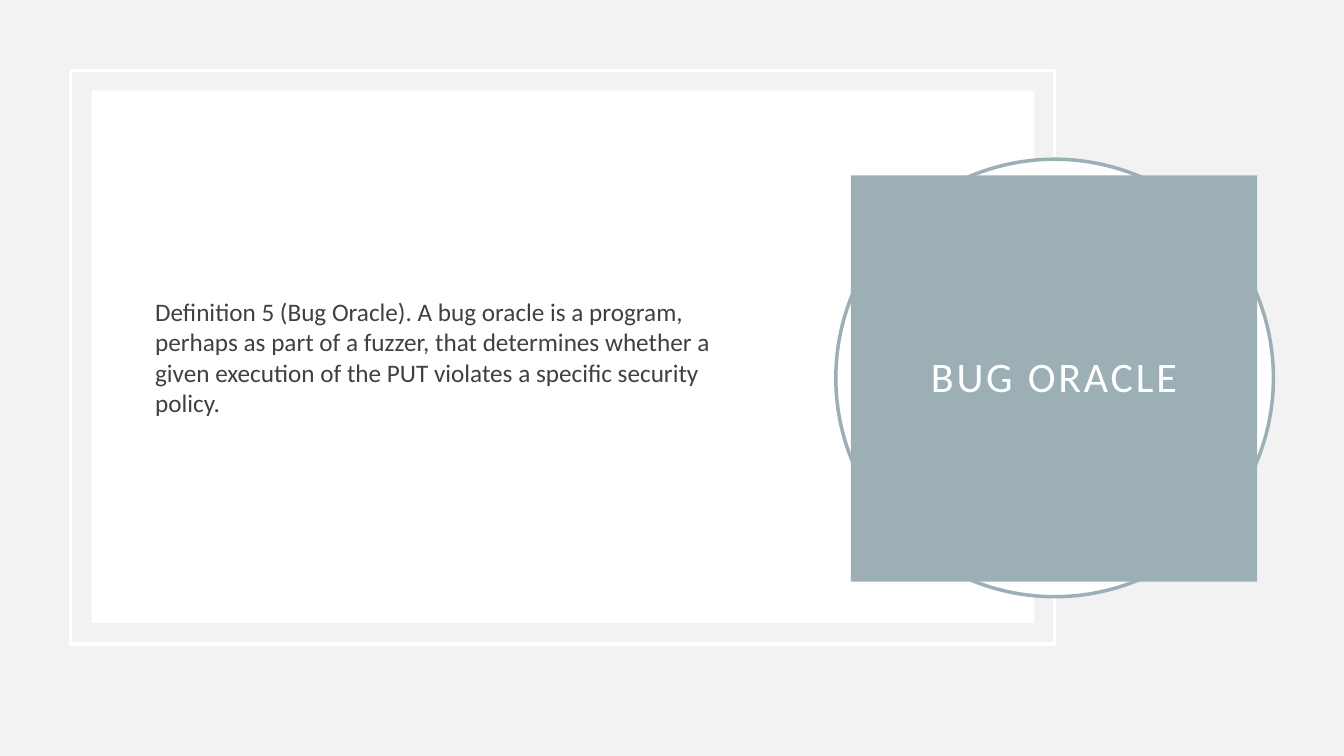
"""Build the Bug Oracle definition slide."""
from dataclasses import dataclass
from typing import Optional

from pptx import Presentation
from pptx.dml.color import RGBColor
from pptx.enum.shapes import MSO_SHAPE as SHAPE
from pptx.enum.text import MSO_ANCHOR as ANCHOR, PP_ALIGN as ALIGN
from pptx.util import Inches, Pt

WHITE, TEAL, GREY, DARK = "FFFFFF", "9BAFB5", "F2F2F2", "404040"


@dataclass
class Panel:
    kind: SHAPE
    box: tuple[float, float, float, float]
    fill: Optional[str] = None
    line: Optional[str] = None


@dataclass
class Label:
    text: str
    size: float
    color: str
    align: ALIGN
    margins: tuple[float, float]
    line_spacing: float = 1.0
    tracking: float = 0


FRAME = Panel(SHAPE.RECTANGLE, (0.7, 0.7, 9.76, 5.69), line=WHITE)
CARD = Panel(SHAPE.RECTANGLE, (0.91, 0.9, 9.35, 5.28), fill=WHITE)
RING = Panel(SHAPE.OVAL, (8.29, 1.58, 4.34, 4.34), fill=WHITE, line=TEAL)
TITLE_BLOCK = Panel(SHAPE.RECTANGLE, (8.44, 1.74, 4.03, 4.03), fill=TEAL)
DEFINITION_BOX = (1.44, 1.4, 6.25, 4.28)

DEFINITION = Label(
    "Definition 5 (Bug Oracle). A bug oracle is a program, perhaps as part of "
    "a fuzzer, that determines whether a given execution of the PUT violates "
    "a specific security policy.",
    18, DARK, ALIGN.LEFT, (0.1, 0.05))
TITLE = Label("BUG ORACLE", 30, WHITE, ALIGN.CENTER, (0.2, 0.2), 0.9, 2)


def rgb(color: str) -> RGBColor:
    return RGBColor.from_string(color)


def add_panel(s, panel: Panel):
    sp = s.shapes.add_shape(panel.kind, *map(Inches, panel.box))
    sp.shadow.inherit = False
    if panel.fill:
        sp.fill.solid()
        sp.fill.fore_color.rgb = rgb(panel.fill)
    else:
        sp.fill.background()
    if panel.line:
        sp.line.color.rgb = rgb(panel.line)
        sp.line.width = Pt(2.5)
    else:
        sp.line.fill.background()
    return sp


def write_label(sp, label: Label) -> None:
    tf = sp.text_frame
    tf.word_wrap = True
    tf.vertical_anchor = ANCHOR.MIDDLE
    side, edge = map(Inches, label.margins)
    tf.margin_left = tf.margin_right = side
    tf.margin_top = tf.margin_bottom = edge
    p = tf.paragraphs[0]
    p.alignment = label.align
    p.line_spacing = label.line_spacing
    r = p.add_run()
    r.text = label.text
    r.font.name = "Calibri"
    r.font.size = Pt(label.size)
    r.font.color.rgb = rgb(label.color)
    if label.tracking:
        r.font._element.set("spc", str(int(label.tracking * 100)))


def main() -> None:
    prs = Presentation()
    prs.slide_width, prs.slide_height = Inches(13.33), Inches(7.5)
    s = prs.slides.add_slide(prs.slide_layouts[6])
    s.background.fill.solid()
    s.background.fill.fore_color.rgb = rgb(GREY)
    for panel in (FRAME, CARD):
        add_panel(s, panel)
    write_label(s.shapes.add_textbox(*map(Inches, DEFINITION_BOX)), DEFINITION)
    add_panel(s, RING)
    write_label(add_panel(s, TITLE_BLOCK), TITLE)
    prs.save("out.pptx")


if __name__ == "__main__":
    main()
